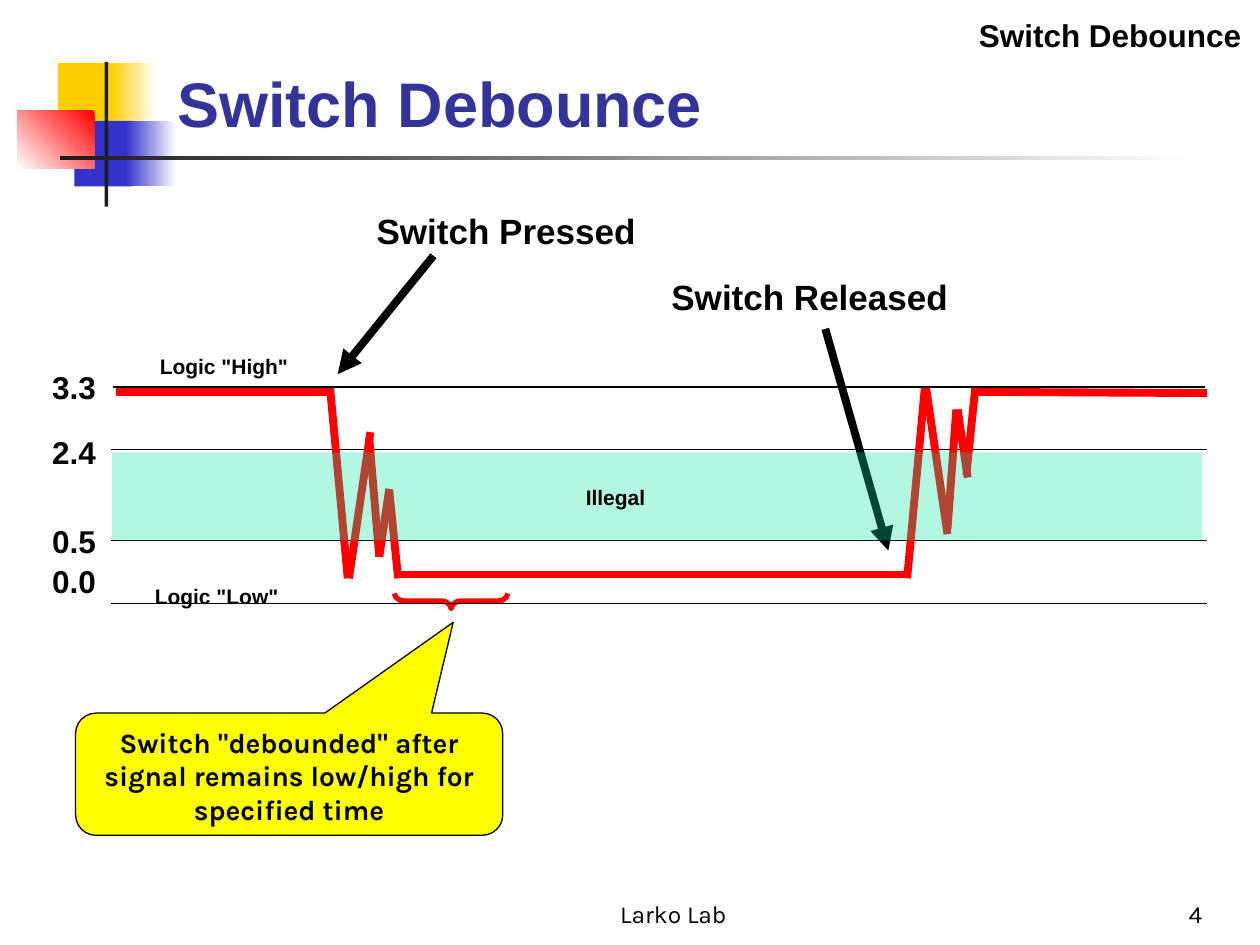
from lxml import etree
from pptx import Presentation
from pptx.dml.color import RGBColor
from pptx.enum.shapes import MSO_CONNECTOR, MSO_SHAPE
from pptx.enum.text import MSO_ANCHOR, PP_ALIGN
from pptx.oxml.ns import qn
from pptx.util import Inches, Pt

RECT = MSO_SHAPE.RECTANGLE
CALLOUT = MSO_SHAPE.ROUNDED_RECTANGULAR_CALLOUT
BRACE = MSO_SHAPE.RIGHT_BRACE
STRAIGHT = MSO_CONNECTOR.STRAIGHT
LEFT, CENTER, RIGHT = PP_ALIGN.LEFT, PP_ALIGN.CENTER, PP_ALIGN.RIGHT
TOP, BOTTOM = MSO_ANCHOR.TOP, MSO_ANCHOR.BOTTOM

BLACK, WHITE, RED, CHARCOAL = "000000", "FFFFFF", "FF0000", "1C1C1C"
GOLD, BLUE, YELLOW, MINT, NAVY = "FFCF01", "3333CC", "FFFF00", "00E4A8", "333399"

# Offsets in inches from the top left corner of the voltage chart
TRACE = [
    ((0.03, 0.04), (1.73, 0.04)),
    ((1.73, 0.01), (1.87, 1.52)),
    ((2.05, 0.36), (1.88, 1.52)),
    ((2.04, 0.40), (2.12, 1.35)),
    ((2.20, 0.81), (2.12, 1.35)),
    ((2.20, 0.83), (2.27, 1.52)),
    ((2.27, 1.49), (6.34, 1.49)),
    ((6.31, 1.52), (6.45, 0.01)),
    ((6.63, 1.17), (6.46, 0.01)),
    ((6.63, 1.13), (6.70, 0.18)),
    ((6.79, 0.72), (6.71, 0.18)),
    ((6.78, 0.70), (6.85, 0.01)),
    ((6.84, 0.04), (8.69, 0.05)),
]
LEVELS = [("3.3", -0.2), ("2.4", 0.32), ("0.5", 1.02), ("0.0", 1.34)]
ZONE_HEIGHTS = [0.5, 0.72, 0.5]
ZONE_BORDERS = [(1.08, 0.45), (0.45, 0.45), (0.45, 1.08)]


def color(hex_code):
    return RGBColor.from_string(hex_code)


def add_box(slide, preset, left, top, width, height, fill=None):
    box = slide.shapes.add_shape(
        preset, Inches(left), Inches(top), Inches(width), Inches(height))
    box.shadow.inherit = False
    box.line.fill.background()
    if fill:
        box.fill.solid()
        box.fill.fore_color.rgb = color(fill)
    else:
        box.fill.background()
    return box


def add_fade(slide, left, top, width, height, start, end, angle=180):
    fade = add_box(slide, RECT, left, top, width, height)
    fade.fill.gradient()
    fade.fill.gradient_angle = angle
    for stop, shade in zip(fade.fill.gradient_stops, (start, end)):
        stop.color.rgb = color(shade)


def write(frame, text, size, align=LEFT, font="Arial", bold=True, shade=BLACK, anchor=TOP):
    frame.word_wrap = True
    frame.vertical_anchor = anchor
    paragraph = frame.paragraphs[0]
    paragraph.text = text
    paragraph.alignment = align
    paragraph.font.name = font
    paragraph.font.size = Pt(size)
    paragraph.font.bold = bold
    paragraph.font.color.rgb = color(shade)


def add_label(slide, left, top, width, height, text, size, **style):
    label = slide.shapes.add_textbox(
        Inches(left), Inches(top), Inches(width), Inches(height))
    write(label.text_frame, text, size, **style)


def add_line(slide, left, top, start, end, shade, arrow=False):
    """Draw a thick line between two points offset from left, top."""
    line = slide.shapes.add_connector(
        STRAIGHT, Inches(left + start[0]), Inches(top + start[1]),
        Inches(left + end[0]), Inches(top + end[1]))
    line.line.color.rgb = color(shade)
    line.line.width = Pt(4.5)
    if arrow:
        etree.SubElement(line.line._get_or_add_ln(), qn("a:tailEnd"), type="triangle")
    etree.SubElement(line._element.spPr, qn("a:effectLst"))


def border_cell(cell, widths):
    """Give the cell black top and bottom borders of the two point widths."""
    properties = cell._tc.get_or_add_tcPr()
    for position, (tag, width) in enumerate(zip(("a:lnT", "a:lnB"), widths)):
        border = etree.Element(qn(tag), w=str(Pt(width)))
        fill = etree.SubElement(border, qn("a:solidFill"))
        etree.SubElement(fill, qn("a:srgbClr"), val=BLACK)
        properties.insert(position, border)


def add_ornament(slide, left, top):
    add_box(slide, RECT, left + 0.32, top + 0.01, 0.48, 0.52, GOLD)
    add_fade(slide, left + 0.74, top + 0.01, 0.36, 0.52, WHITE, GOLD)
    add_box(slide, RECT, left + 0.45, top + 0.47, 0.46, 0.52, BLUE)
    add_fade(slide, left + 0.86, top + 0.47, 0.4, 0.52, WHITE, BLUE)
    add_fade(slide, left, top + 0.39, 0.61, 0.46, RED, WHITE, angle=225)
    add_box(slide, RECT, left + 0.69, top, 0.03, 1.15, CHARCOAL)
    add_fade(slide, left + 0.34, top + 0.75, 9, 0.03, WHITE, CHARCOAL)


def add_headings(slide, left, top):
    add_label(slide, left, top + 0.25, 8.52, 0.83, "Switch Debounce", 36,
              shade=NAVY, anchor=BOTTOM)
    add_label(slide, left + 4.62, top, 4.02, 0.4, "Switch Debounce", 18, align=RIGHT)


def add_zones(slide, left, top, width):
    zones = slide.shapes.add_table(
        len(ZONE_HEIGHTS), 1, Inches(left), Inches(top), Inches(width),
        Inches(sum(ZONE_HEIGHTS))).table
    zones.first_row = zones.horz_banding = False
    for row, height, widths in zip(zones.rows, ZONE_HEIGHTS, ZONE_BORDERS):
        row.height = Inches(height)
        row.cells[0].fill.background()
        border_cell(row.cells[0], widths)


def add_illegal_band(slide, left, top, width, height):
    band = add_box(slide, RECT, left, top, width, height, MINT)
    shade = band._element.spPr.find(".//" + qn("a:srgbClr"))
    etree.SubElement(shade, qn("a:alpha"), val="30000")
    add_label(slide, left + 3.32, top + 0.21, 1.35, 0.3, "Illegal", 12, align=CENTER)


def add_voltage_chart(slide, left, top):
    add_zones(slide, left, top, 8.68)
    for level, offset in LEVELS:
        add_label(slide, left - 0.62, top + offset, 0.59, 0.4, level, 18, align=RIGHT)
    add_label(slide, left + 0.24, top + 1.51, 1.35, 0.3, 'Logic "Low"', 12)
    add_label(slide, left + 0.28, top - 0.31, 1.36, 0.3, 'Logic "High"', 12)
    for start, end in TRACE:
        add_line(slide, left, top, start, end, RED)
    add_label(slide, left + 2, top - 1.46, 2.32, 0.44, "Switch Pressed", 20)
    add_line(slide, left, top, (2.55, -1.04), (1.79, -0.1), BLACK, arrow=True)
    add_label(slide, left + 4.34, top - 0.93, 2.69, 0.44, "Switch Released", 20)
    add_line(slide, left, top, (5.66, -0.46), (6.16, 1.3), BLACK, arrow=True)
    add_illegal_band(slide, left, top + 0.52, 8.65, 0.7)


def add_debounce_note(slide, left, top):
    note = add_box(slide, CALLOUT, left, top, 3.39, 0.97, YELLOW)
    for index, value in enumerate((0.384, -1.243, 0.167)):
        note.adjustments[index] = value
    note.line.color.rgb = color(BLACK)
    note.line.width = Pt(0.75)
    write(note.text_frame,
          'Switch "debounded" after signal remains low/high for specified time',
          16, align=CENTER, font="Karla")
    brace = add_box(slide, BRACE, left + 2.92, top - 1.34, 0.12, 0.9)
    brace.rotation = 90
    brace.adjustments[0] = 0.67
    brace.line.color.rgb = color(RED)
    brace.line.width = Pt(3)


def add_footer(slide, left, top):
    style = {"font": "Karla", "bold": False, "anchor": BOTTOM}
    add_label(slide, left, top, 5.13, 0.5, "Larko Lab", 14, align=CENTER, **style)
    add_label(slide, left + 4.78, top, 2.08, 0.5, "4", 14, align=RIGHT, **style)


def main():
    deck = Presentation()
    deck.slide_width, deck.slide_height = Inches(10), Inches(7.5)
    slide = deck.slides.add_slide(deck.slide_layouts[6])
    add_ornament(slide, 0.14, 0.49)
    add_headings(slide, 1.31, 0.08)
    add_debounce_note(slide, 0.6, 5.66)
    add_voltage_chart(slide, 0.89, 3.07)
    add_footer(slide, 2.78, 6.92)
    deck.save("out.pptx")


if __name__ == "__main__":
    main()
